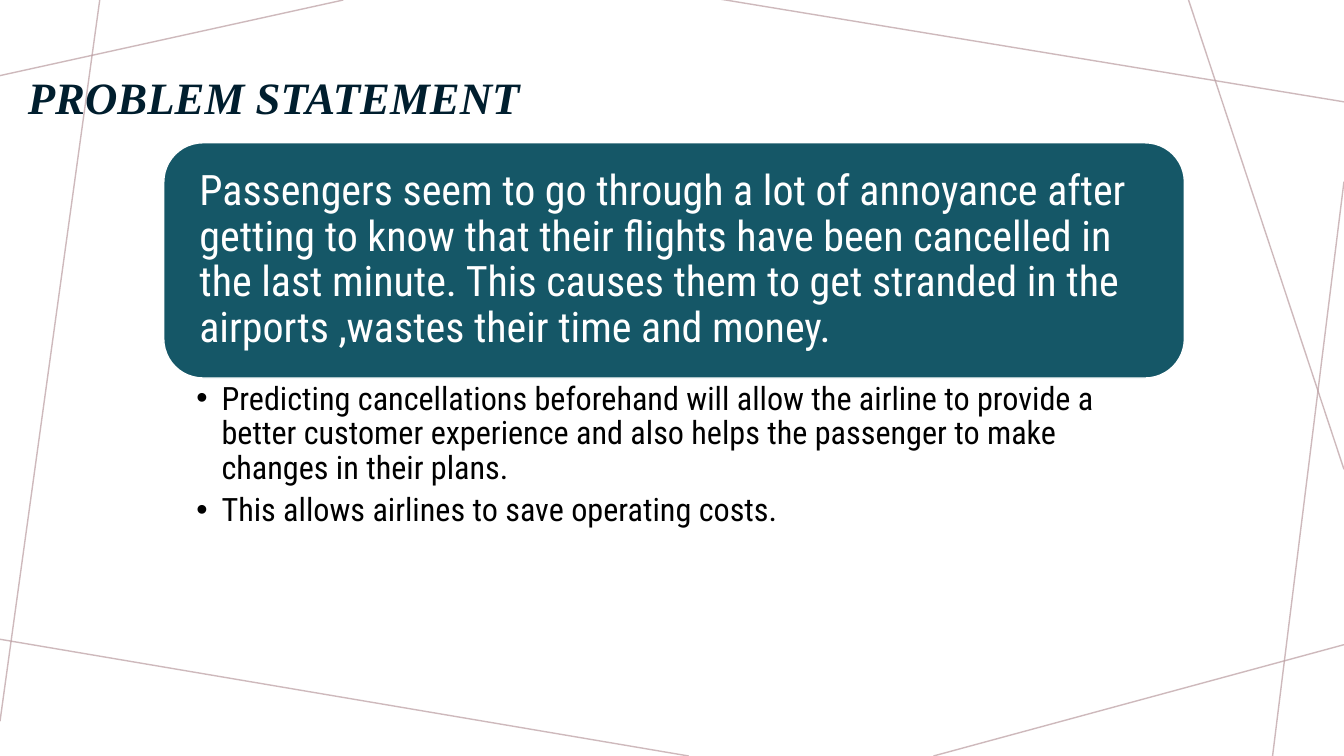
from lxml import etree
from pptx import Presentation
from pptx import util as u
from pptx.dml.color import RGBColor
from pptx.enum import shapes, text
from pptx.oxml import ns

PX = 9525
BODY_FONT = "Roboto Condensed"
WEB_LINES = [
    ((327, 0), (0, 72)),
    ((95, 0), (0, 687)),
    ((656, 720), (-5, 608)),
    ((1280, 614), (889, 720)),
    ((1280, 173), (1212, 720)),
    ((1280, 447), (1132, 0)),
    ((1280, 97), (685, -1)),
]
STATEMENT = (
    "Passengers seem to go through a lot of annoyance after getting to know that "
    "their flights have been cancelled in the last minute. This causes them to get "
    "stranded in the airports ,wastes their time and money."
)
BENEFITS = [
    "Predicting cancellations beforehand will allow the airline to provide a better "
    "customer experience and also helps the passenger to make changes in their plans.",
    "This allows airlines to save operating costs.",
]


def px(length):
    return u.Emu(length * PX)


def color(hex_text):
    return RGBColor.from_string(hex_text)


def place(shape, box):
    shape.left, shape.top, shape.width, shape.height = map(px, box)


def write_text(shape, lines, *, font, size, fill, bold=False, italic=False,
               align=text.PP_ALIGN.LEFT, anchor=text.MSO_ANCHOR.TOP,
               insets=(10, 5, 10, 5), space_after=0, bullet_indent=0):
    frame = shape.text_frame
    frame.text = "\n".join(lines)
    frame.word_wrap = True
    frame.auto_size = text.MSO_AUTO_SIZE.NONE
    frame.vertical_anchor = anchor
    (frame.margin_left, frame.margin_top,
     frame.margin_right, frame.margin_bottom) = map(px, insets)
    for paragraph in frame.paragraphs:
        paragraph.alignment = align
        paragraph.line_spacing = 0.9
        paragraph.space_before = u.Pt(0)
        paragraph.space_after = u.Pt(space_after)
        run_font = paragraph.runs[0].font
        run_font.name = font
        run_font.size = u.Pt(size)
        run_font.bold = bold
        run_font.italic = italic
        run_font.color.rgb = color(fill)
        if bullet_indent:
            properties = paragraph._p.get_or_add_pPr()
            properties.set("marL", str(px(bullet_indent)))
            properties.set("indent", str(-px(bullet_indent)))
            etree.SubElement(properties, ns.qn("a:buChar"), char="•")


def add_web(slide):
    for index, (start, end) in enumerate(WEB_LINES):
        line = slide.shapes.add_connector(
            shapes.MSO_CONNECTOR.STRAIGHT, *map(px, start + end))
        line.line.color.rgb = color("BA9CA0")
        line.line.width = u.Pt(1)
        properties = line._element.spPr
        tint = properties.find(".//" + ns.qn("a:srgbClr"))
        etree.SubElement(tint, ns.qn("a:alpha"), val="70000")
        etree.SubElement(properties, ns.qn("a:effectLst"))
        slide.shapes._spTree.insert(2 + index, line._element)


def add_title(slide, box):
    title = slide.shapes.title
    place(title, box)
    write_text(title, ["PROBLEM STATEMENT"], font="Times New Roman", size=32,
               fill="001E2E", bold=True, italic=True,
               align=text.PP_ALIGN.CENTER, anchor=text.MSO_ANCHOR.MIDDLE)


def add_problem(slide, box, card_height):
    left, top, width, height = box
    card = slide.shapes.add_shape(
        shapes.MSO_SHAPE.ROUNDED_RECTANGLE, *map(px, (left, top, width, card_height)))
    card.shadow.inherit = False
    card.fill.solid()
    card.fill.fore_color.rgb = color("155767")
    card.line.color.rgb = color("FFFFFF")
    card.line.width = u.Pt(1)
    write_text(card, [STATEMENT], font=BODY_FONT, size=30, fill="FFFFFF",
               anchor=text.MSO_ANCHOR.MIDDLE, insets=(23, 12, 23, 12))

    benefits = slide.placeholders[1]
    place(benefits, (left, top + card_height, width, height - card_height))
    write_text(benefits, BENEFITS, font=BODY_FONT, size=23, fill="000000",
               insets=(31, 4, 22, 4), space_after=5, bullet_indent=24)


def main():
    presentation = Presentation()
    presentation.slide_width = px(1280)
    presentation.slide_height = px(720)
    slide = presentation.slides.add_slide(presentation.slide_layouts[1])
    slide.background.fill.solid()
    slide.background.fill.fore_color.rgb = color("FFFFFF")
    add_web(slide)
    add_title(slide, (-4, 69, 530, 53))
    add_problem(slide, (156, 136, 972, 378), card_height=224)
    presentation.save("out.pptx")


if __name__ == "__main__":
    main()
